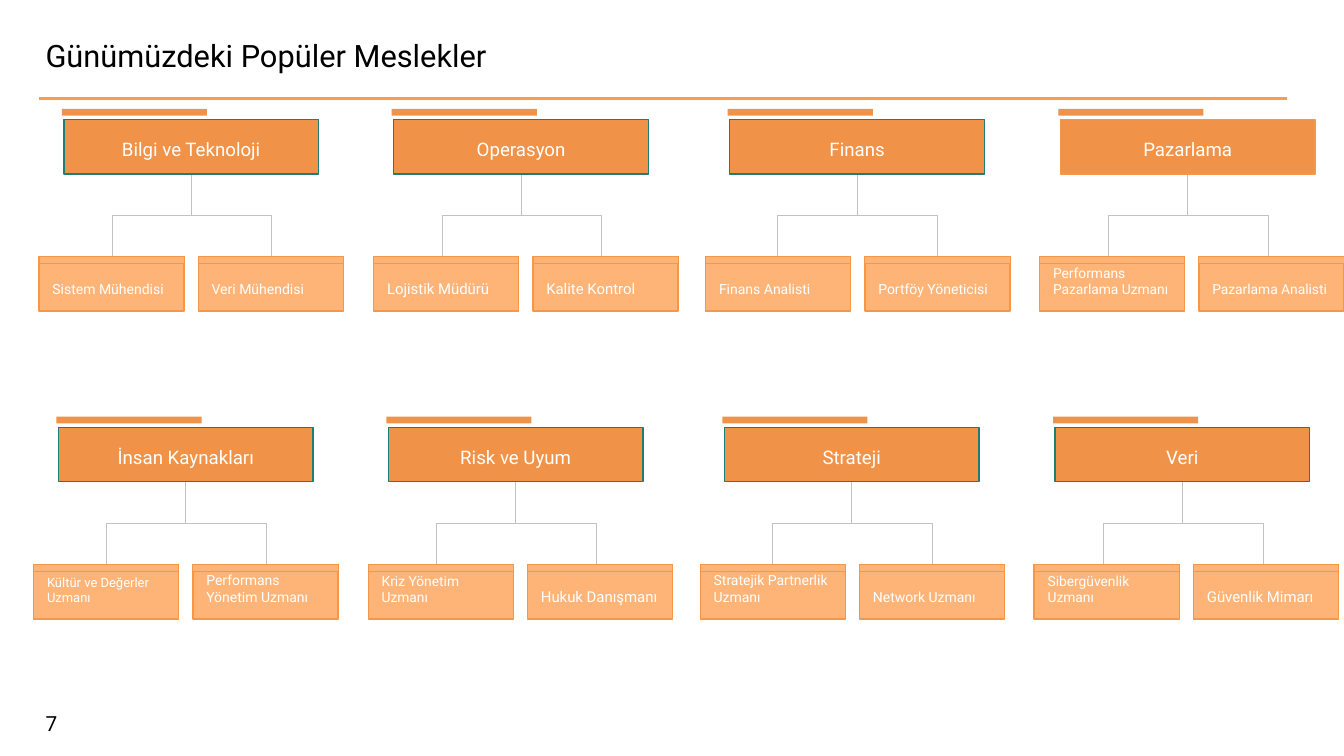
from pptx import Presentation
from pptx.dml.color import RGBColor
from pptx.enum.shapes import MSO_CONNECTOR, MSO_SHAPE
from pptx.enum.text import MSO_ANCHOR, PP_ALIGN
from pptx.oxml.ns import qn
from pptx.util import Inches, Pt
from lxml.etree import SubElement

COLORS = {
    "field": "F09348", "job": "FFB477", "edge": "F79646", "teal": "1D7E75",
    "branch": "C2C2C2", "rule": "F89D56", "ink": "000000", "paper": "FFFFFF",
}
ROW_TOPS = (1.62, 6.2)
ROW_SHIFT = -0.08
FIELD_LEFTS = (0.95, 5.86, 10.86, 15.78)
JOB_LEFTS = (0.58, 5.56, 10.5, 15.47)
JOB_STEP = 2.37
FIELD_WIDTH, JOB_WIDTH = 3.79, 2.16
BOX_HEIGHT, STRIP_HEIGHT = 0.81, 0.1
FIELD_DROP, JOB_DROP = 0.16, 2.2
BRANCH_REACH = (-1.18, 1.2)

CAREERS = (
    (
        ("Bilgi ve Teknoloji", "teal", (("Sistem Mühendisi", 15), ("Veri Mühendisi", 15))),
        ("Operasyon", "teal", (("Lojistik Müdürü", 16), ("Kalite Kontrol", 16))),
        ("Finans", "teal", (("Finans Analisti", 15), ("Portföy Yöneticisi", 15))),
        ("Pazarlama", "edge", (("Performans Pazarlama Uzmanı", 14.8), ("Pazarlama Analisti", 14.8))),
    ),
    (
        ("İnsan Kaynakları", "teal", (("Kültür ve Değerler Uzmanı", 13.9), ("Performans Yönetim Uzmanı", 15))),
        ("Risk ve Uyum", "teal", (("Kriz Yönetim Uzmanı", 14.8), ("Hukuk Danışmanı", 16))),
        ("Strateji", "teal", (("Stratejik Partnerlik Uzmanı", 15), ("Network Uzmanı", 15))),
        ("Veri", "teal", (("Sibergüvenlik Uzmanı", 14.8), ("Güvenlik Mimarı", 16))),
    ),
)


class CareerSlide:
    """Draws the parts of the career chart on one slide in a shared style."""

    font_name = "Roboto"
    label_frame = {
        "word_wrap": True, "vertical_anchor": MSO_ANCHOR.BOTTOM,
        "margin_left": Inches(0.2), "margin_right": Inches(0.2),
        "margin_top": Inches(0.2), "margin_bottom": Inches(0.2),
    }
    plain_frame = {"word_wrap": True, "vertical_anchor": MSO_ANCHOR.TOP}

    def __init__(self, slide):
        self.slide = slide

    def color(self, name):
        return RGBColor.from_string(COLORS[name])

    def label(self, frame, words, size, color, layout, align=PP_ALIGN.LEFT):
        for key, value in layout.items():
            setattr(frame, key, value)
        paragraph = frame.paragraphs[0]
        paragraph.alignment = align
        run = paragraph.add_run()
        run.text = words
        for key, value in {"name": self.font_name, "size": Pt(size)}.items():
            setattr(run.font, key, value)
        run.font.color.rgb = self.color(color)

    def text(self, left, top, width, height, words, size):
        area = self.slide.shapes.add_textbox(*map(Inches, (left, top, width, height)))
        self.label(area.text_frame, words, size, "ink", self.plain_frame)

    def block(self, left, top, width, height, fill, edge=None, weight=1.5):
        block = self.slide.shapes.add_shape(
            MSO_SHAPE.RECTANGLE, *map(Inches, (left, top, width, height)))
        block.shadow.inherit = False
        block.fill.solid()
        block.fill.fore_color.rgb = self.color(fill)
        if edge:
            block.line.color.rgb = self.color(edge)
            block.line.width = Pt(weight)
        else:
            block.line.fill.background()
        return block

    def line(self, kind, start, end, color, weight):
        line = self.slide.shapes.add_connector(kind, *map(Inches, (*start, *end)))
        line.line.color.rgb = self.color(color)
        line.line.width = Pt(weight)
        SubElement(line.element.spPr, qn("a:effectLst"))
        return line

    def branch(self, center, top, bottom, reach):
        middle_x, middle_y = center + reach / 2, (top + bottom) / 2
        half_drop = (bottom - top) / 2 * (1 if reach < 0 else -1)
        half_reach = abs(reach) / 2
        branch = self.line(
            MSO_CONNECTOR.ELBOW,
            (middle_x - half_drop, middle_y - half_reach),
            (middle_x + half_drop, middle_y + half_reach), "branch", 0.75)
        branch.element.spPr.find(qn("a:xfrm")).set("rot", "16200000")

    def field(self, left, top, name, edge):
        box = self.block(left, top + FIELD_DROP, FIELD_WIDTH, BOX_HEIGHT, "field", edge)
        self.label(box.text_frame, name, 20, "paper", self.label_frame, PP_ALIGN.CENTER)
        self.block(left - 0.03, top, JOB_WIDTH, STRIP_HEIGHT, "field")

    def job(self, left, top, name, size):
        box = self.block(left, top, JOB_WIDTH, BOX_HEIGHT, "job", "edge")
        self.label(box.text_frame, name, size, "paper", self.label_frame)
        self.block(left, top, JOB_WIDTH, STRIP_HEIGHT, "job", "edge", 0.75)


def main():
    deck = Presentation()
    deck.slide_width, deck.slide_height = Inches(20), Inches(11.25)
    chart = CareerSlide(deck.slides.add_slide(deck.slide_layouts[6]))
    chart.line(MSO_CONNECTOR.STRAIGHT, (0.58, 1.46), (19.15, 1.46), "rule", 3)
    chart.text(0.58, 10.52, 2.33, 0.4, "7", 22.3)
    chart.text(0.58, 0.49, 18.57, 0.96, "Günümüzdeki Popüler Meslekler", 33)

    for row, (top, fields) in enumerate(zip(ROW_TOPS, CAREERS)):
        shift = row * ROW_SHIFT
        job_top = top + JOB_DROP
        for field_left, job_left, (name, edge, jobs) in zip(FIELD_LEFTS, JOB_LEFTS, fields):
            center = field_left + shift + FIELD_WIDTH / 2
            for reach in BRANCH_REACH:
                chart.branch(center, top + FIELD_DROP + BOX_HEIGHT, job_top, reach)
            chart.field(field_left + shift, top, name, edge)
            for place, (job, size) in enumerate(jobs):
                chart.job(job_left + shift + place * JOB_STEP, job_top, job, size)

    deck.save("out.pptx")


if __name__ == "__main__":
    main()
